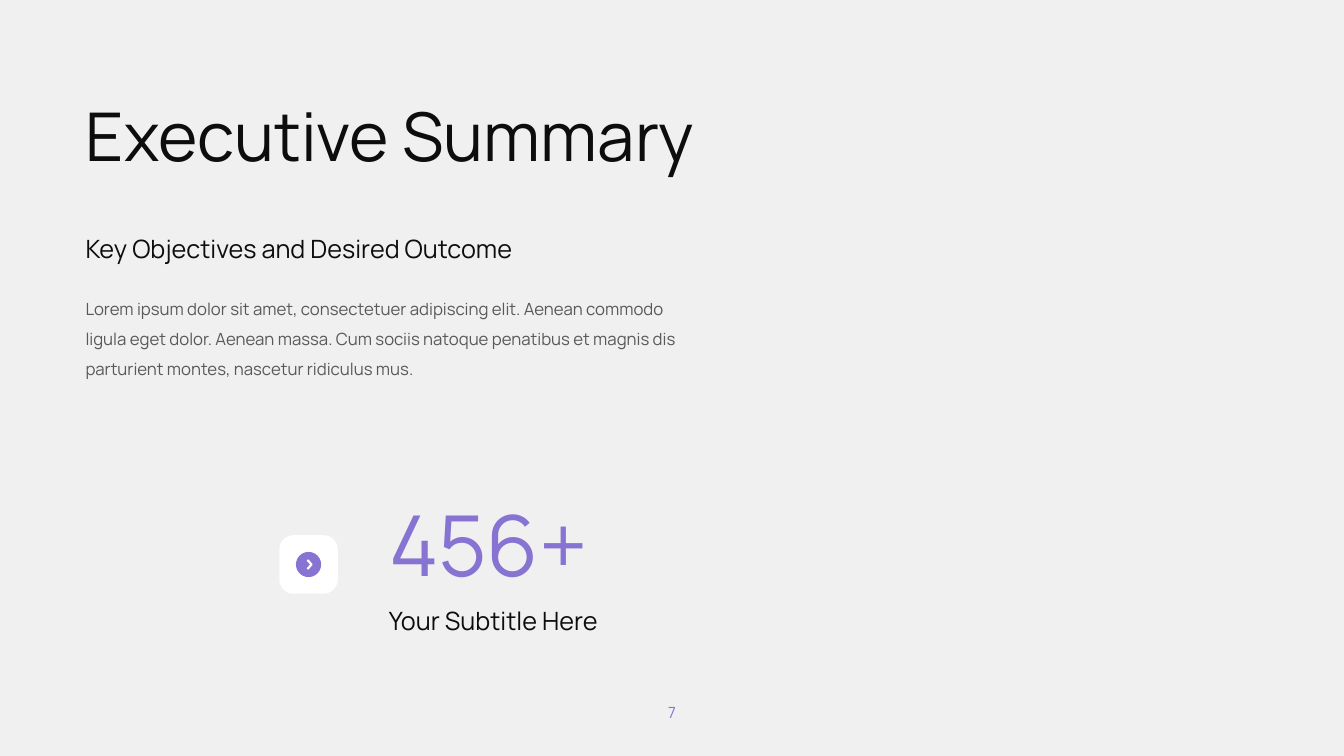
from pptx import Presentation
from pptx.dml.color import RGBColor
from pptx.enum.shapes import MSO_SHAPE
from pptx.enum.text import MSO_ANCHOR, MSO_AUTO_SIZE, PP_ALIGN
from pptx.util import Inches, Pt

ROUNDED, OVAL = MSO_SHAPE.ROUNDED_RECTANGLE, MSO_SHAPE.OVAL
TOP, MIDDLE = MSO_ANCHOR.TOP, MSO_ANCHOR.MIDDLE
LEFT, CENTER = PP_ALIGN.LEFT, PP_ALIGN.CENTER
FIXED = MSO_AUTO_SIZE.NONE

# Content
TITLE = "Executive Summary"
HEADING = "Key Objectives and Desired Outcome"
BODY = (
    "Lorem ipsum dolor sit amet, consectetuer adipiscing elit. Aenean commodo "
    "ligula eget dolor. Aenean massa. Cum sociis natoque penatibus et magnis dis "
    "parturient montes, nascetur ridiculus mus."
)
FIGURE, CAPTION = "456+", "Your Subtitle Here"
PAGE_NUMBER = "7"

# Style
FONT = "Manrope"
GROUND = RGBColor(0xF0, 0xF0, 0xF0)
INK = RGBColor(0x0D, 0x0D, 0x0D)
GRAY = RGBColor(0x59, 0x59, 0x59)
PURPLE = RGBColor(0x87, 0x73, 0xD1)
WHITE = RGBColor(0xFF, 0xFF, 0xFF)

# Grid, in inches
WIDTH, HEIGHT = 13.33, 7.5
MARGIN = 0.75
FIGURE_LEFT = 3.76
BADGE_X, BADGE_Y = 3.06, 5.6
BADGE_SIZE, DISC_SIZE = 0.58, 0.25
ARROW_WIDTH, ARROW_HEIGHT = 0.04, 0.09
NUMBER_WIDTH = 0.93

deck = Presentation()
deck.slide_width, deck.slide_height = Inches(WIDTH), Inches(HEIGHT)
page = deck.slides.add_slide(deck.slide_layouts[5])
page.background.fill.solid()
page.background.fill.fore_color.rgb = GROUND


def write(text, left, top, width, height, size, color=INK, align=LEFT,
          anchor=TOP, line_spacing=1.0, space_before=0, box=None):
    """Put one formatted paragraph in a new text box or in the given box."""
    area = [Inches(length) for length in (left, top, width, height)]
    if box is None:
        box = page.shapes.add_textbox(*area)
    box.left, box.top, box.width, box.height = area
    frame = box.text_frame
    frame.word_wrap = True
    frame.auto_size = FIXED
    frame.vertical_anchor = anchor
    para = frame.paragraphs[0]
    para.alignment = align
    para.line_spacing = line_spacing
    para.space_before = Pt(space_before)
    span = para.add_run()
    span.text = text
    span.font.name, span.font.size = FONT, Pt(size)
    span.font.color.rgb = color


def add_badge_part(kind, size, color):
    """Add a filled shape centred on the badge."""
    part = page.shapes.add_shape(
        kind, Inches(BADGE_X - size / 2), Inches(BADGE_Y - size / 2),
        Inches(size), Inches(size))
    part.shadow.inherit = False
    part.fill.solid()
    part.fill.fore_color.rgb = color
    part.line.fill.background()
    return part


# Title, heading and body
write(TITLE, MARGIN, 0.89, 7.28, 0.91, 48, box=page.shapes.title)
write(HEADING, MARGIN, 2.27, 4.87, 0.34, 18)
write(BODY, MARGIN, 2.81, 6.27, 0.98, 12, color=GRAY,
      line_spacing=1.5, space_before=8)

# Key figure
write(FIGURE, FIGURE_LEFT, 4.84, 3.55, 1.11, 60, color=PURPLE)
write(CAPTION, FIGURE_LEFT, 5.96, 2.87, 0.4, 18)

# Badge with arrow
tile = add_badge_part(ROUNDED, BADGE_SIZE, WHITE)
tile.adjustments[0] = 0.24
add_badge_part(OVAL, DISC_SIZE, PURPLE)
arrow_left = BADGE_X + 0.01 - ARROW_WIDTH / 2
builder = page.shapes.build_freeform(
    Inches(arrow_left), Inches(BADGE_Y - ARROW_HEIGHT / 2))
builder.add_line_segments([
    (Inches(arrow_left + ARROW_WIDTH), Inches(BADGE_Y)),
    (Inches(arrow_left), Inches(BADGE_Y + ARROW_HEIGHT / 2)),
], close=False)
arrow = builder.convert_to_shape()
arrow.shadow.inherit = False
arrow.fill.background()
arrow.line.color.rgb = WHITE
arrow.line.width = Pt(1.5)

# Page number
write(PAGE_NUMBER, (WIDTH - NUMBER_WIDTH) / 2, 6.92, NUMBER_WIDTH, 0.29, 11,
      color=PURPLE, align=CENTER, anchor=MIDDLE)

deck.save("out.pptx")
